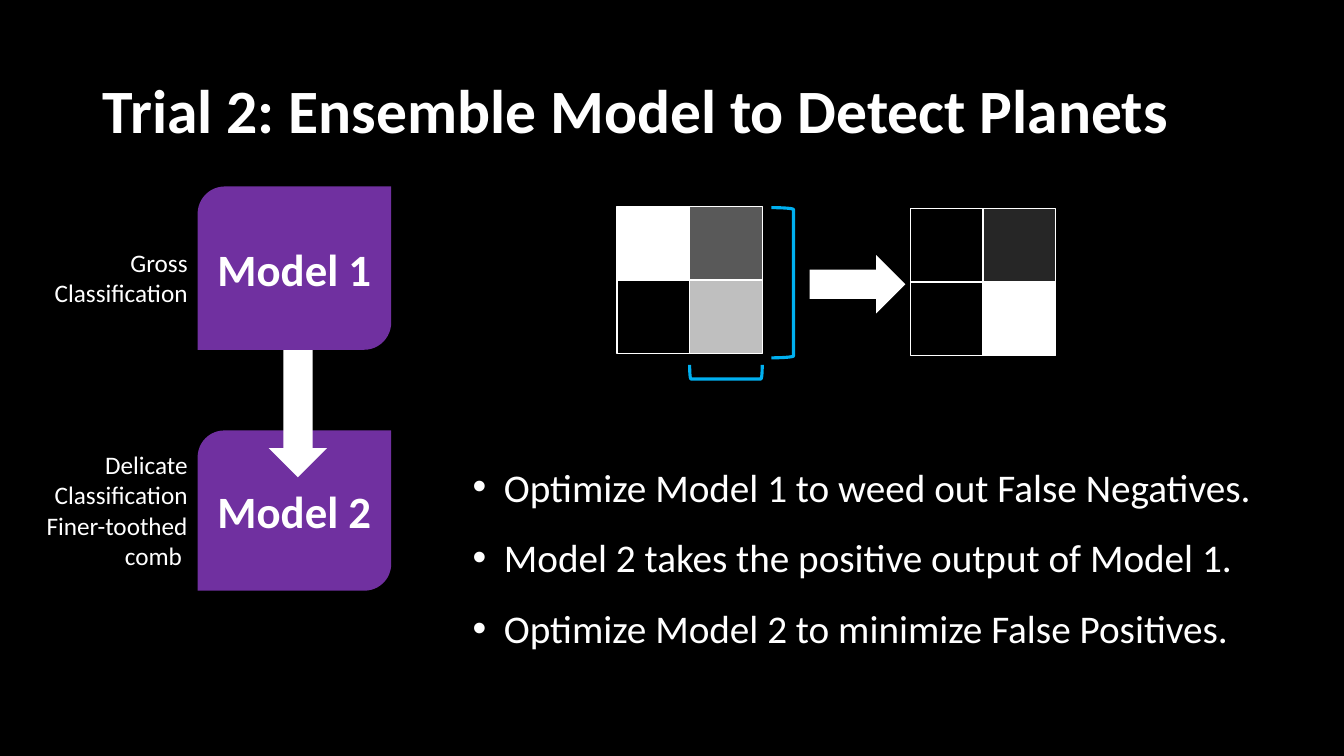
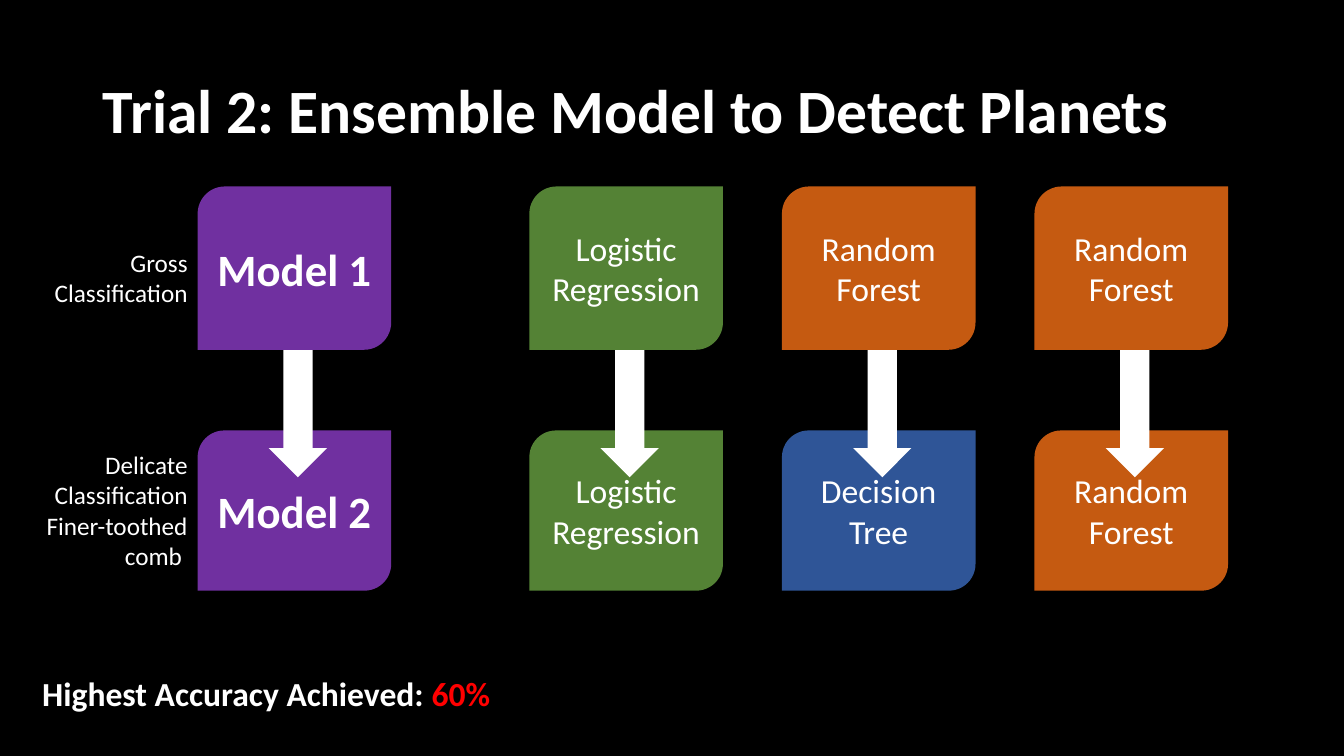
from lxml import etree
from pptx import Presentation
from pptx.dml.color import RGBColor
from pptx.enum.shapes import MSO_SHAPE
from pptx.enum.text import MSO_ANCHOR, MSO_AUTO_SIZE, PP_ALIGN
from pptx.oxml.ns import qn
from pptx.util import Inches, Pt

LEFT, CENTER, RIGHT = PP_ALIGN.LEFT, PP_ALIGN.CENTER, PP_ALIGN.RIGHT
MIDDLE, TOP = MSO_ANCHOR.MIDDLE, MSO_ANCHOR.TOP
NO_AUTOFIT = MSO_AUTO_SIZE.NONE
RECTANGLE = MSO_SHAPE.RECTANGLE
ROUND_DIAGONAL = MSO_SHAPE.ROUND_2_DIAG_RECTANGLE
RIGHT_ARROW = MSO_SHAPE.RIGHT_ARROW
RIGHT_BRACKET = MSO_SHAPE.RIGHT_BRACKET

BLACK = RGBColor(0x00, 0x00, 0x00)
WHITE = RGBColor(0xFF, 0xFF, 0xFF)
CHARCOAL = RGBColor(0x26, 0x26, 0x26)
DARK_GRAY = RGBColor(0x59, 0x59, 0x59)
LIGHT_GRAY = RGBColor(0xBF, 0xBF, 0xBF)
PURPLE = RGBColor(0x70, 0x30, 0xA0)
GREEN = RGBColor(0x54, 0x82, 0x35)
ORANGE = RGBColor(0xC5, 0x5A, 0x11)
BLUE = RGBColor(0x2F, 0x55, 0x97)
SKY_BLUE = RGBColor(0x00, 0xB0, 0xF0)
RED = RGBColor(0xFF, 0x00, 0x00)

TITLE = "Trial 2: Ensemble Model to Detect Planets"
TITLE_FONT = {"name": "Calibri", "size": Pt(44), "bold": True}
MODEL_FONT = {"name": "Calibri", "size": Pt(32), "bold": True}
METHOD_FONT = {"name": "Calibri", "size": Pt(24), "bold": False}
LABEL_FONT = {"name": "Calibri", "size": Pt(18), "bold": False}
BULLET_FONT = {"name": "Calibri", "size": Pt(28), "bold": False}
RESULT_FONT = {"name": "Calibri", "size": Pt(24), "bold": True}

BLOCK_WIDTH = 1.92
ARROW_LENGTH, ARROW_HEIGHT = 1.63, 0.58
CELL_WIDTH, CELL_HEIGHT = 0.72, 0.73
PAIR_LEFT, PAIR_STEP = 5.25, 2.505
BULLET_INDENT = Inches(0.31)

BULLETS = [
    "Optimize Model 1 to weed out False Negatives.",
    "Model 2 takes the positive output of Model 1.",
    "Optimize Model 2 to minimize False Positives.",
]
METHOD_PAIRS = [
    (("Logistic Regression", GREEN), ("Logistic Regression", GREEN)),
    (("Random Forest", ORANGE), ("Decision Tree", BLUE)),
    (("Random Forest", ORANGE), ("Random Forest", ORANGE)),
]


def inches(box):
    return [Inches(value) for value in box]


def format_font(font, formats, color=WHITE):
    for name, value in formats.items():
        setattr(font, name, value)
    font.color.rgb = color


def write_paragraphs(frame, texts, formats, alignment, anchor, spacing=1.0, bullet=None):
    frame.word_wrap = True
    frame.auto_size = NO_AUTOFIT
    frame.vertical_anchor = anchor
    for index, text in enumerate(texts):
        paragraph = frame.add_paragraph() if index else frame.paragraphs[0]
        paragraph.alignment = alignment
        paragraph.line_spacing = spacing
        if bullet:
            add_bullet(paragraph, bullet)
        run = paragraph.add_run()
        run.text = text
        format_font(run.font, formats)


def add_bullet(paragraph, character):
    properties = paragraph._p.get_or_add_pPr()
    properties.set("marL", str(BULLET_INDENT))
    properties.set("indent", str(-BULLET_INDENT))
    etree.SubElement(properties, qn("a:buFont")).set("typeface", "Arial")
    etree.SubElement(properties, qn("a:buChar")).set("char", character)


def add_text(slide, box, texts, formats, alignment=LEFT, **options):
    shape = slide.shapes.add_textbox(*inches(box))
    write_paragraphs(shape.text_frame, texts, formats, alignment, TOP, **options)
    return shape


def add_figure(slide, kind, box, fill=None, line=None, width=1, rotation=0):
    shape = slide.shapes.add_shape(kind, *inches(box))
    shape.shadow.inherit = False
    shape.rotation = rotation
    if fill is None:
        shape.fill.background()
    else:
        shape.fill.solid()
        shape.fill.fore_color.rgb = fill
    if line is None:
        shape.line.fill.background()
    else:
        shape.line.color.rgb = line
        shape.line.width = Pt(width)
    return shape


def add_block(slide, left, top, height, content, formats):
    text, color = content
    block = add_figure(slide, ROUND_DIAGONAL, (left, top, BLOCK_WIDTH, height), color)
    write_paragraphs(block.text_frame, [text], formats, CENTER, MIDDLE)


def add_model_pair(slide, left, first, second, formats):
    add_block(slide, left, 4.27, 1.59, second, formats)
    arrow_box = (left + 0.18, 3.63, ARROW_LENGTH, ARROW_HEIGHT)
    add_figure(slide, RIGHT_ARROW, arrow_box, WHITE, rotation=90)
    add_block(slide, left, 1.85, 1.62, first, formats)


def add_matrix(slide, left, top, rows):
    for row, colors in enumerate(rows):
        for column, color in enumerate(colors):
            box = (left + column * CELL_WIDTH, top + row * CELL_HEIGHT,
                   CELL_WIDTH, CELL_HEIGHT)
            add_figure(slide, RECTANGLE, box, color, WHITE)


def add_ensemble_slide(presentation):
    slide = presentation.slides.add_slide(presentation.slide_layouts[5])
    title = slide.shapes.title
    title.left, title.top, title.width, title.height = inches((0.92, 0.4, 11.5, 1.45))
    write_paragraphs(title.text_frame, [TITLE], TITLE_FONT, LEFT, MIDDLE, spacing=0.9)
    add_text(slide, (0.25, 2.4, 1.71, 0.71), ["Gross Classification"], LABEL_FONT, RIGHT)
    add_text(slide, (0.35, 4.41, 1.61, 1.31),
             ["Delicate Classification", "Finer-toothed comb "], LABEL_FONT, RIGHT)
    add_model_pair(slide, 1.96, ("Model 1", PURPLE), ("Model 2", PURPLE), MODEL_FONT)
    return slide


def add_strategy_content(slide):
    add_text(slide, (4.59, 4.31, 7.97, 2.15), BULLETS, BULLET_FONT,
             spacing=1.5, bullet="•")
    add_matrix(slide, 6.12, 2.05, [(WHITE, DARK_GRAY), (BLACK, LIGHT_GRAY)])
    add_matrix(slide, 9.03, 2.07, [(BLACK, CHARCOAL), (BLACK, WHITE)])
    add_figure(slide, RIGHT_ARROW, (8.03, 2.53, 0.95, ARROW_HEIGHT), WHITE)
    for box, rotation in (((7.65, 2.06, 0.22, 1.49), 0), ((7.13, 3.33, 0.14, 0.72), 90)):
        add_figure(slide, RIGHT_BRACKET, box, line=SKY_BLUE, width=2.25, rotation=rotation)


def add_method_content(slide):
    for index, (first, second) in enumerate(METHOD_PAIRS):
        add_model_pair(slide, PAIR_LEFT + index * PAIR_STEP, first, second, METHOD_FONT)
    result = add_text(slide, (0.32, 6.63, 4.68, 0.5),
                      ["Highest Accuracy Achieved: "], RESULT_FONT)
    result.text_frame.word_wrap = False
    accuracy = result.text_frame.paragraphs[0].add_run()
    accuracy.text = "60%"
    format_font(accuracy.font, RESULT_FONT, RED)


def main():
    presentation = Presentation()
    presentation.slide_width, presentation.slide_height = inches((13.33, 7.5))
    background = presentation.slide_master.background.fill
    background.solid()
    background.fore_color.rgb = BLACK
    for add_content in (add_strategy_content, add_method_content):
        add_content(add_ensemble_slide(presentation))
    presentation.save("out.pptx")


if __name__ == "__main__":
    main()
